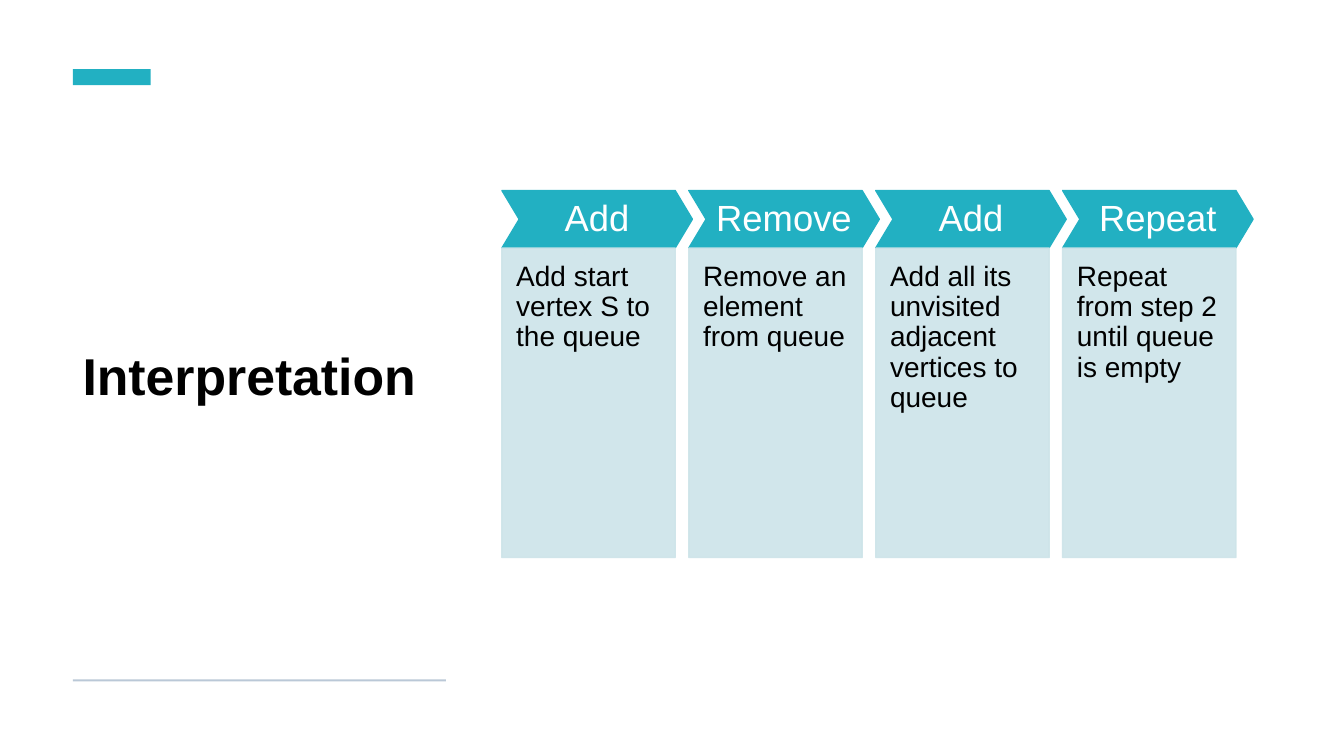
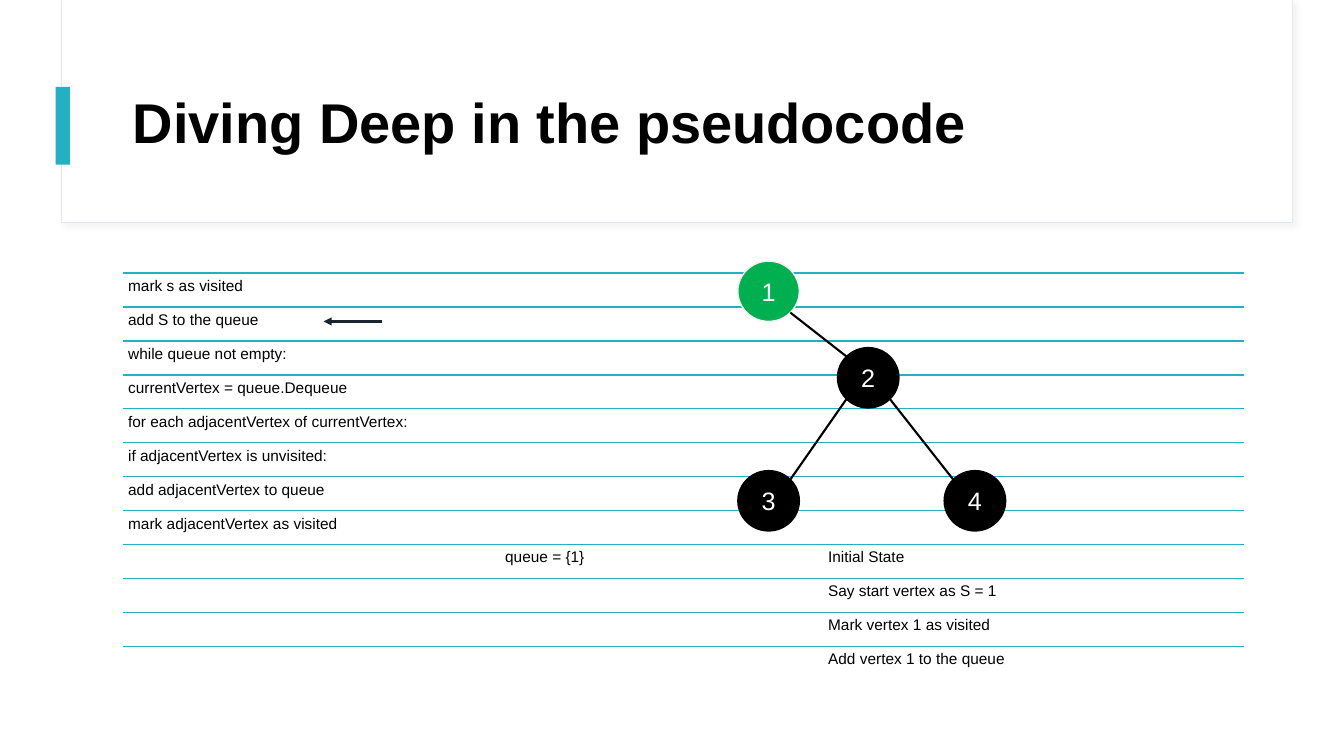
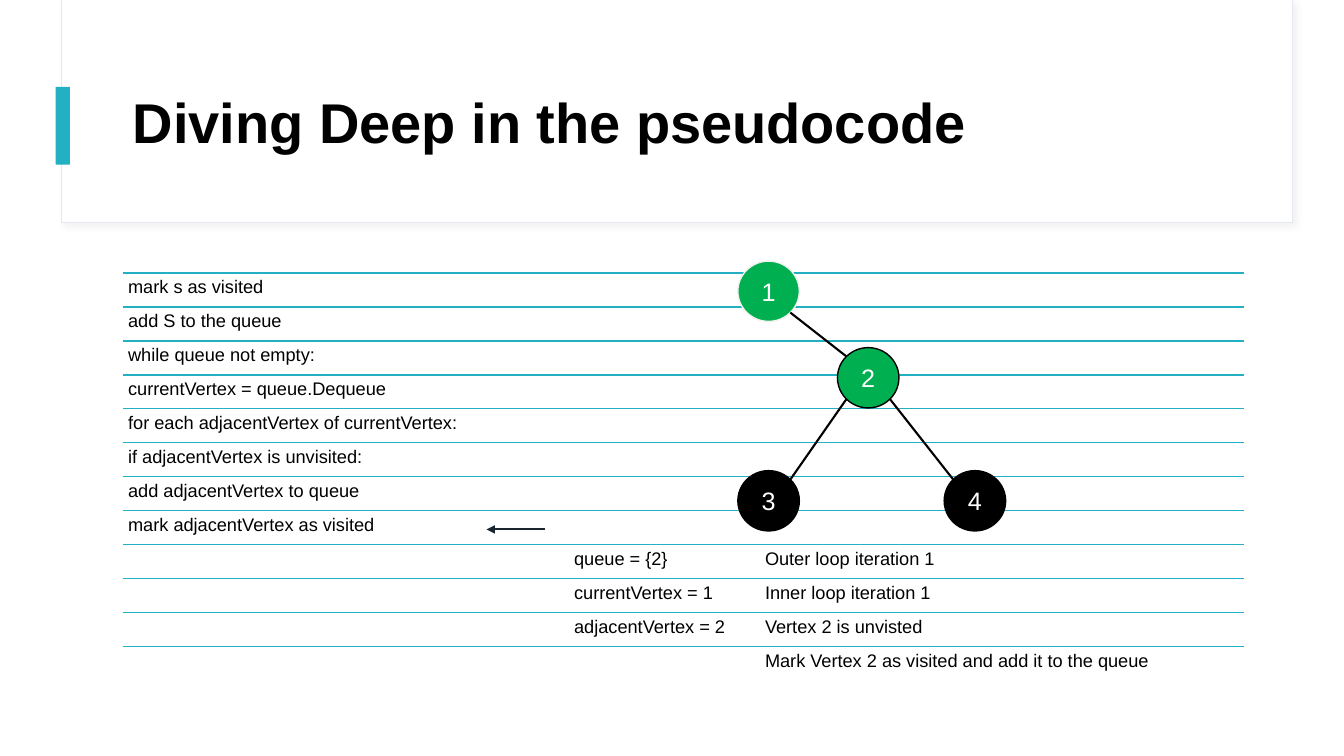
from math import sqrt

from pptx import Presentation
from pptx.dml.color import RGBColor
from pptx.enum.shapes import MSO_CONNECTOR, MSO_SHAPE
from pptx.enum.text import MSO_ANCHOR as Anchor, PP_ALIGN as Align
from pptx.oxml.ns import qn
from pptx.util import Cm, Pt
from lxml.etree import SubElement

FONT = "Arial"
TEAL = RGBColor(0x22, 0xB0, 0xC2)
PALE_TEAL = RGBColor(0xCD, 0xE4, 0xE9)
RULE_GREY = RGBColor(0xBA, 0xC8, 0xD7)
FRAME_GREY = RGBColor(0xE3, 0xE9, 0xEF)
NODE_EDGE = RGBColor(0xF3, 0xF1, 0xF0)
NAVY = RGBColor(0x1B, 0x25, 0x2F)
GREEN = RGBColor(0x00, 0xB0, 0x50)
BLACK = RGBColor(0, 0, 0)
WHITE = RGBColor(0xFF, 0xFF, 0xFF)

TITLE_ONLY = 5

STEPS = [
    ("Add", "Add start vertex S to the queue"),
    ("Remove", "Remove an element from queue"),
    ("Add", "Add all its unvisited adjacent vertices to queue"),
    ("Repeat", "Repeat from step 2 until queue is empty"),
]

PSEUDOCODE = [
    "mark s as visited",
    "add S to the queue",
    "while queue not empty:",
    "currentVertex = queue.Dequeue",
    "for each adjacentVertex of currentVertex:",
    "if adjacentVertex is unvisited:",
    "add adjacentVertex to queue",
    "mark adjacentVertex as visited",
]

# Pseudocode rows
ROWS_LEFT, ROWS_TOP, ROWS_WIDTH, ROW_HEIGHT = 3.1, 6.88, 28.24, 10.26 / 12

# Graph: node centres and edges
NODE_WIDTH, NODE_HEIGHT = 1.55, 1.52
NODES = {1: (19.37, 7.34), 2: (21.88, 9.52), 3: (19.37, 12.62), 4: (24.57, 12.62)}
EDGES = [(2, 3), (2, 4), (1, 2)]


def write(holder, text, size=18, color=BLACK, bold=False, align=Align.LEFT,
          anchor=Anchor.TOP, insets=(0.25, 0.13, 0.25, 0.13), spacing=0.9,
          wrap=True, tabs=()):
    """Put one formatted paragraph in a shape; insets and tabs are in cm."""
    frame = holder.text_frame
    frame.word_wrap = wrap
    frame.vertical_anchor = anchor
    frame.margin_left, frame.margin_top, frame.margin_right, frame.margin_bottom = map(Cm, insets)
    paragraph = frame.paragraphs[0]
    paragraph.text = text
    if tabs:
        stops = SubElement(paragraph._p.get_or_add_pPr(), qn("a:tabLst"))
        for position in tabs:
            SubElement(stops, qn("a:tab"), pos=str(Cm(position)), algn="l")
    paragraph.alignment = align
    paragraph.line_spacing = spacing
    font = paragraph.runs[0].font
    font.name, font.size, font.bold = FONT, Pt(size), bold
    font.color.rgb = color


def add_block(slide, kind, left, top, width, height, fill, edge=None, edge_width=1):
    block = slide.shapes.add_shape(kind, Cm(left), Cm(top), Cm(width), Cm(height))
    block.shadow.inherit = False
    block.fill.solid()
    block.fill.fore_color.rgb = fill
    if edge is None:
        block.line.fill.background()
    else:
        block.line.color.rgb = edge
        block.line.width = Pt(edge_width)
    return block


def add_line(slide, start, end, color, width=1.0, arrow=False):
    line = slide.shapes.add_connector(MSO_CONNECTOR.STRAIGHT, *map(Cm, (*start, *end)))
    line.line.color.rgb = color
    line.line.width = Pt(width)
    if arrow:
        SubElement(line.line._get_or_add_ln(), qn("a:tailEnd"), type="triangle")
    SubElement(line._element.spPr, qn("a:effectLst"))


def set_opacity(block, percent):
    for color in block._element.spPr.iter(qn("a:srgbClr")):
        SubElement(color, qn("a:alpha"), val=str(percent * 1000))


def add_soft_shadow(block):
    effects = block._element.spPr.find(qn("a:effectLst"))
    shadow = SubElement(effects, qn("a:outerShdw"), blurRad=str(Pt(4)), dist=str(Pt(3)),
                        dir=str(45 * 60000), algn="tl", rotWithShape="0")
    color = SubElement(shadow, qn("a:srgbClr"), val="D9D9D9")
    SubElement(color, qn("a:alpha"), val="30000")


def set_title(slide, text, size, left, top, width, height):
    title = slide.shapes.title
    title.left, title.top, title.width, title.height = map(Cm, (left, top, width, height))
    write(title, text, size=size, bold=True, anchor=Anchor.MIDDLE)


def new_slide(deck):
    return deck.slides.add_slide(deck.slide_layouts[TITLE_ONLY])


def add_title_band(slide):
    frame = add_block(slide, MSO_SHAPE.RECTANGLE, 1.56, 0, 31.01, 5.61, WHITE, FRAME_GREY, 0.75)
    add_soft_shadow(frame)
    accent = add_block(slide, MSO_SHAPE.RECTANGLE, 1.4, 2.19, 0.36, 1.96, TEAL)
    # Keep the band behind the title
    for position, part in enumerate((frame, accent), start=2):
        slide.shapes._spTree.insert(position, part._element)


def add_step(slide, left, heading, detail):
    chevron = add_block(slide, MSO_SHAPE.CHEVRON, left, 4.8, 4.8, 1.45, TEAL, TEAL)
    chevron.adjustments[0] = 0.3
    write(chevron, heading, size=26, color=WHITE, align=Align.CENTER,
          anchor=Anchor.MIDDLE, insets=[0.18] * 4, wrap=False)
    panel = add_block(slide, MSO_SHAPE.RECTANGLE, left, 6.25, 4.37, 7.8, PALE_TEAL, PALE_TEAL)
    set_opacity(panel, 90)
    write(panel, detail, size=20, insets=(0.36, 0.36, 0.36, 0.69))


def add_ruled_rows(slide, rows, size, tabs):
    for index, row in enumerate(rows):
        top = ROWS_TOP + index * ROW_HEIGHT
        add_line(slide, (ROWS_LEFT, top), (ROWS_LEFT + ROWS_WIDTH, top), TEAL)
        row_box = slide.shapes.add_textbox(Cm(ROWS_LEFT), Cm(top), Cm(ROWS_WIDTH), Cm(ROW_HEIGHT))
        write(row_box, row, size=size, insets=[0.13] * 4, tabs=tabs)


def add_graph(slide, visited):
    for number, (x, y) in NODES.items():
        node = add_block(slide, MSO_SHAPE.OVAL, x - NODE_WIDTH / 2, y - NODE_HEIGHT / 2,
                         NODE_WIDTH, NODE_HEIGHT, GREEN if number in visited else BLACK,
                         NODE_EDGE if number == 1 else BLACK)
        write(node, str(number), color=WHITE, align=Align.CENTER, anchor=Anchor.MIDDLE,
              spacing=1.0)
    reach_x, reach_y = NODE_WIDTH / 2 / sqrt(2), NODE_HEIGHT / 2 / sqrt(2)
    for parent, child in EDGES:
        (x1, y1), (x2, y2) = NODES[parent], NODES[child]
        side = reach_x if x2 > x1 else -reach_x
        add_line(slide, (x1 + side, y1 + reach_y), (x2 - side, y2 - reach_y), BLACK, 1.5)


def add_interpretation(deck):
    slide = new_slide(deck)
    set_title(slide, "Interpretation", 37, 1.83, 2.67, 9.4, 13.74)
    add_block(slide, MSO_SHAPE.RECTANGLE, 1.84, 1.74, 1.96, 0.41, TEAL)
    add_block(slide, MSO_SHAPE.RECTANGLE, 1.84, 17.12, 9.4, 0.05, RULE_GREY)
    for index, (heading, detail) in enumerate(STEPS):
        add_step(slide, 12.65 + index * 4.71, heading, detail)


def add_trace(deck, state, size, tabs, pointer, visited):
    """Show the pseudocode, the state rows, the graph and the current-line arrow."""
    slide = new_slide(deck)
    add_title_band(slide)
    set_title(slide, "Diving Deep in the pseudocode", 40, 3.1, 1.52, 28.24, 3.28)
    notes = ["\t" + "\t".join(pair) for pair in state]
    add_ruled_rows(slide, PSEUDOCODE + notes, size, tabs)
    x, y = pointer
    add_line(slide, (x + 1.47, y), (x, y), NAVY, 1.5, arrow=True)
    add_graph(slide, visited)


def main():
    deck = Presentation()
    deck.slide_width, deck.slide_height = Cm(33.87), Cm(19.05)
    add_interpretation(deck)
    add_trace(
        deck,
        state=[("queue = {1}", "Initial State"),
               ("", "Say start vertex as S = 1"),
               ("", "Mark vertex 1 as visited"),
               ("", "Add vertex 1 to the queue")],
        size=11, tabs=(9.5, 17.64), pointer=(8.15, 8.1), visited={1})
    add_trace(
        deck,
        state=[("queue = {2}", "Outer loop iteration 1"),
               ("currentVertex = 1", "Inner loop iteration 1"),
               ("adjacentVertex = 2", "Vertex 2 is unvisted"),
               ("", "Mark Vertex 2 as visited and add it to the queue")],
        size=13, tabs=(11.24, 16.05), pointer=(12.26, 13.34), visited={1, 2})
    deck.save("out.pptx")


if __name__ == "__main__":
    main()
